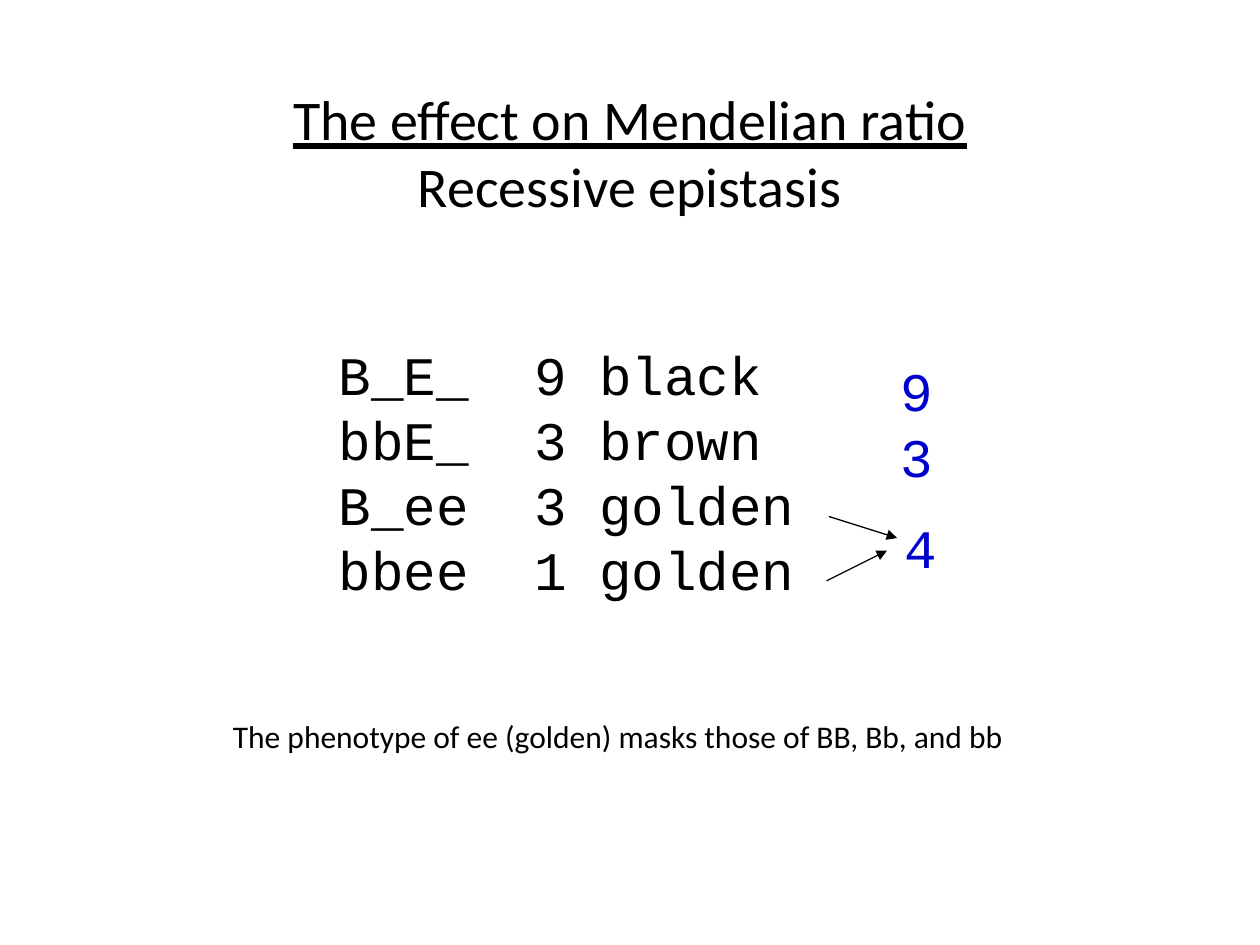
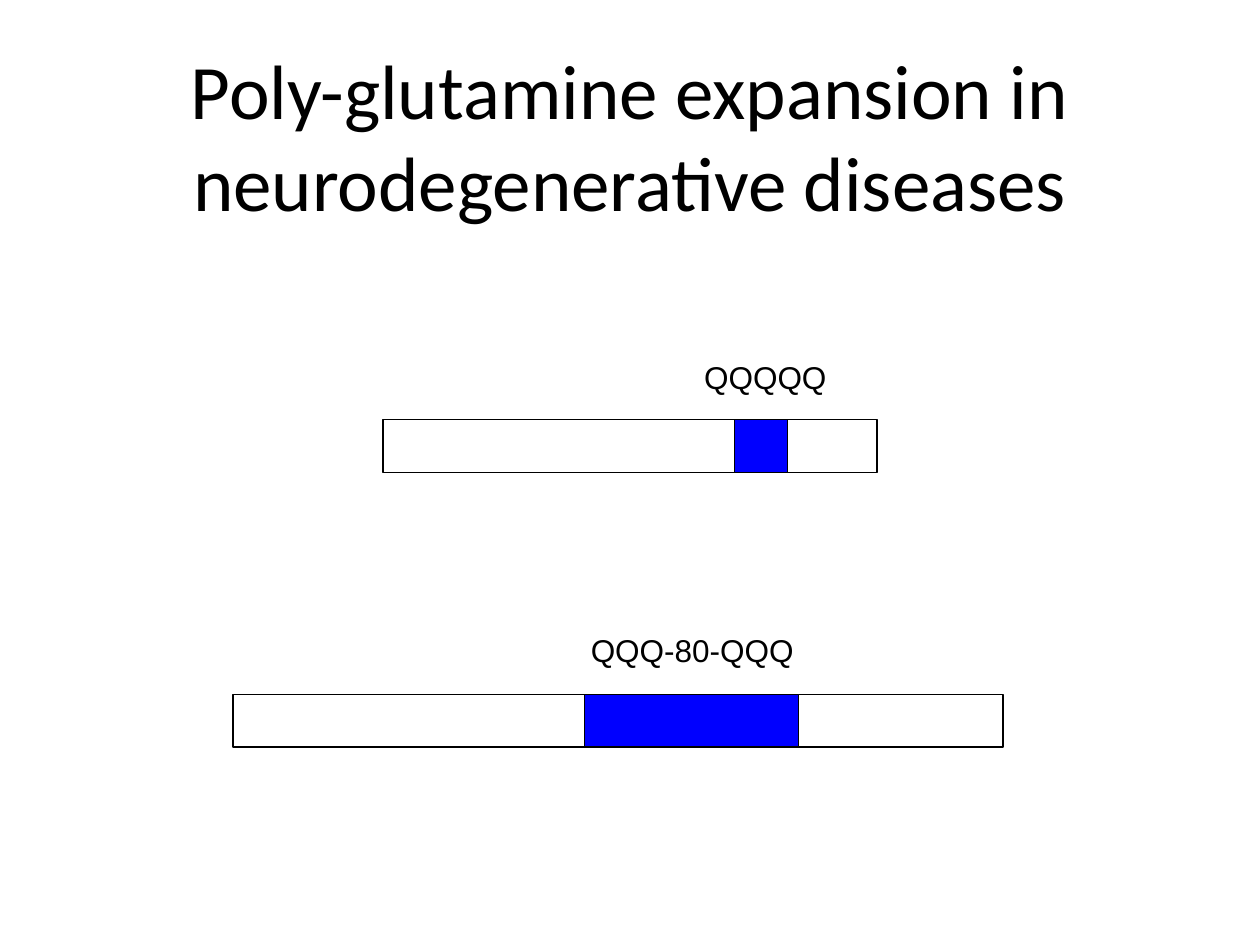
from dataclasses import dataclass

from lxml.etree import SubElement
from pptx import Presentation
from pptx.dml.color import RGBColor
from pptx.enum.shapes import MSO_CONNECTOR, MSO_SHAPE
from pptx.enum.text import MSO_ANCHOR, MSO_AUTO_SIZE, PP_ALIGN
from pptx.oxml.ns import qn
from pptx.util import Inches, Pt

COLOURS = {"ink": "000000", "ratio": "0000CC", "repeat": "0000FF"}
TITLE_ONLY = 5
LINE_WIDTH = Pt(0.75)
BAR_HEIGHT = 0.42
COUNT_TAB = 1.55  # six monospaced characters

TEXT_STYLES = {
    "note": {"name": "Calibri", "size": Pt(18)},
    "cross": {"name": "Courier New", "size": Pt(31)},
    "repeat": {"name": "Arial", "size": Pt(18)},
}
FRAME_FORMAT = {
    "word_wrap": True,
    "auto_size": MSO_AUTO_SIZE.NONE,
    "margin_left": Inches(0.1),
    "margin_right": Inches(0),
    "margin_top": Inches(0.05),
    "margin_bottom": Inches(0.05),
}


@dataclass
class Label:
    lines: list[str]
    box: tuple[float, float, float, float]
    style: str
    colour: str = "ink"


@dataclass
class Arrow:
    start: tuple[float, float]
    end: tuple[float, float]


@dataclass
class Protein:
    left: float
    top: float
    width: float
    repeat_left: float
    repeat_width: float
    label: Label


GENOTYPES = ["B_E_\t9 black", "bbE_\t3 brown", "B_ee\t3 golden", "bbee\t1 golden"]

EPISTASIS_LABELS = [
    Label(["The phenotype of ee (golden) masks those of BB, Bb, and bb"],
          (1.75, 5.64, 6.5, 0.4), "note"),
    Label(GENOTYPES, (2.59, 2.66, 3.81, 2.17), "cross"),
    Label(["9", "3"], (7.05, 2.79, 0.46, 1.14), "cross", "ratio"),
    Label(["4"], (7.08, 4.03, 0.46, 0.62), "cross", "ratio"),
]
GOLDEN_ARROWS = [
    Arrow((6.58, 4.1), (7.12, 4.27)),
    Arrow((6.56, 4.61), (7.04, 4.37)),
]
PROTEINS = [
    Protein(3.04, 3.33, 3.92, 5.83, 0.42,
            Label(["QQQQQ"], (5.49, 2.79, 1.17, 0.4), "repeat")),
    Protein(1.85, 5.51, 6.11, 4.64, 1.7,
            Label(["QQQ-80-QQQ"], (4.59, 4.96, 1.81, 0.4), "repeat")),
]


def rgb(name: str) -> RGBColor:
    return RGBColor.from_string(COLOURS[name])


def apply_format(target, values: dict) -> None:
    for attribute, value in values.items():
        setattr(target, attribute, value)


def add_titled_slide(deck, lines: list[str], box: tuple, size: int,
                     underline_first: bool = False):
    """Add a slide whose title is one paragraph, one line break between lines."""
    slide = deck.slides.add_slide(deck.slide_layouts[TITLE_ONLY])
    title = slide.shapes.title
    apply_format(title, dict(zip(("left", "top", "width", "height"), map(Inches, box))))
    apply_format(title.text_frame, {"auto_size": MSO_AUTO_SIZE.NONE,
                                    "vertical_anchor": MSO_ANCHOR.MIDDLE})
    paragraph = title.text_frame.paragraphs[0]
    paragraph.alignment = PP_ALIGN.CENTER
    for index, line in enumerate(lines):
        if index:
            paragraph.add_line_break()
            SubElement(paragraph._p[-1], qn("a:rPr"), sz=str(size * 100))
        run = paragraph.add_run()
        run.text = line
        apply_format(run.font, {"name": "Calibri", "size": Pt(size),
                                "underline": underline_first and index == 0})
        run.font.color.rgb = rgb("ink")
    return slide


def add_label(slide, label: Label) -> None:
    frame = slide.shapes.add_textbox(*map(Inches, label.box)).text_frame
    apply_format(frame, FRAME_FORMAT)
    for index, line in enumerate(label.lines):
        paragraph = frame.add_paragraph() if index else frame.paragraphs[0]
        if "\t" in line:
            tabs = SubElement(paragraph._p.get_or_add_pPr(), qn("a:tabLst"))
            SubElement(tabs, qn("a:tab"), pos=str(Inches(COUNT_TAB)), algn="l")
        run = paragraph.add_run()
        run.text = line
        apply_format(run.font, TEXT_STYLES[label.style])
        run.font.color.rgb = rgb(label.colour)


def add_arrow(slide, arrow: Arrow) -> None:
    connector = slide.shapes.add_connector(
        MSO_CONNECTOR.STRAIGHT, *map(Inches, arrow.start + arrow.end))
    connector.line.color.rgb = rgb("ink")
    connector.line.width = LINE_WIDTH
    SubElement(connector.line._get_or_add_ln(), qn("a:tailEnd"), type="triangle")
    SubElement(connector._element.spPr, qn("a:effectLst"))


def add_bar(slide, left: float, top: float, width: float, fill: str | None = None) -> None:
    bar = slide.shapes.add_shape(
        MSO_SHAPE.RECTANGLE, *map(Inches, (left, top, width, BAR_HEIGHT)))
    bar.shadow.inherit = False
    if fill:
        bar.fill.solid()
        bar.fill.fore_color.rgb = rgb(fill)
    else:
        bar.fill.background()
    bar.line.color.rgb = rgb("ink")
    bar.line.width = LINE_WIDTH


def add_protein(slide, protein: Protein) -> None:
    add_bar(slide, protein.left, protein.top, protein.width)
    add_bar(slide, protein.repeat_left, protein.top, protein.repeat_width, "repeat")
    add_label(slide, protein.label)


def main() -> None:
    deck = Presentation()
    deck.slide_width, deck.slide_height = Inches(10), Inches(7.5)

    # Recessive epistasis: genotypes merge into a 9:3:4 ratio
    epistasis = add_titled_slide(
        deck, ["The effect on Mendelian ratio", "Recessive epistasis"],
        (0.75, 0.58, 8.5, 1.25), 32, underline_first=True)
    for label in EPISTASIS_LABELS:
        add_label(epistasis, label)
    for arrow in GOLDEN_ARROWS:
        add_arrow(epistasis, arrow)

    # Poly-glutamine expansion: short and long repeats
    expansion = add_titled_slide(
        deck, ["Poly-glutamine expansion in neurodegenerative diseases"],
        (0.5, 0.28, 9, 1.58), 44)
    for protein in PROTEINS:
        add_protein(expansion, protein)

    deck.save("out.pptx")


if __name__ == "__main__":
    main()
